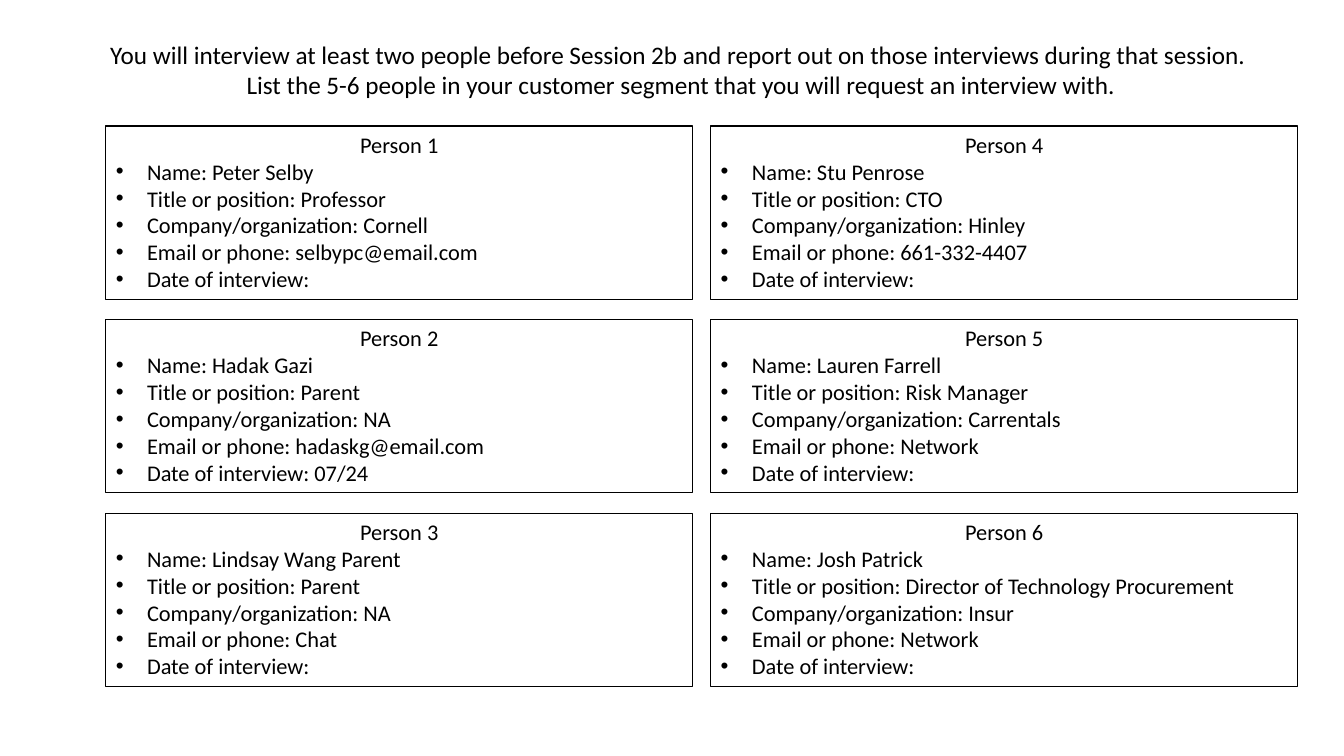
import pptx
import pptx.dml.color
import pptx.enum.shapes
import pptx.enum.text
import pptx.oxml
import pptx.oxml.ns
import pptx.util

FONT = "Calibri"
BLACK = "000000"
INDENT = pptx.util.Inches(0.31)
CARD_ROWS = 3
CARD_WIDTH, CARD_HEIGHT = 5.82, 1.72
COLUMN_STEP, ROW_STEP = 6.0, 1.92
FIELDS = ["Name", "Title or position", "Company/organization",
          "Email or phone", "Date of interview"]
INSTRUCTIONS = [
    "You will interview at least two people before Session 2b and report out "
    "on those interviews during that session. ",
    "List the 5-6 people in your customer segment that you will request an interview with.",
]
PEOPLE = [
    ["Peter Selby", "Professor", "Cornell", "selbypc@email.com", ""],
    ["Hadak Gazi", "Parent", "NA", "hadaskg@email.com", "07/24"],
    ["Lindsay Wang Parent", "Parent", "NA", "Chat", ""],
    ["Stu Penrose", "CTO", "Hinley", "661-332-4407", ""],
    ["Lauren Farrell", "Risk Manager", "Carrentals", "Network", ""],
    ["Josh Patrick", "Director of Technology Procurement", "Insur", "Network", ""],
]


def color(value):
    return pptx.dml.color.RGBColor.from_string(value)


def inches(box):
    return [pptx.util.Inches(length) for length in box]


def add_bullet(paragraph):
    properties = paragraph._p.get_or_add_pPr()
    properties.set("marL", str(INDENT))
    properties.set("indent", str(-INDENT))
    namespace = pptx.oxml.ns.nsdecls("a")
    for markup in ('buFont {} typeface="Arial"', 'buChar {} char="•"'):
        properties.append(pptx.oxml.parse_xml(f"<a:{markup.format(namespace)}/>"))


def write_lines(frame, lines, size, bulleted_from):
    frame.word_wrap = True
    frame.auto_size = pptx.enum.text.MSO_AUTO_SIZE.NONE
    frame.vertical_anchor = pptx.enum.text.MSO_ANCHOR.TOP
    for index, line in enumerate(lines):
        paragraph = frame.paragraphs[0] if index == 0 else frame.add_paragraph()
        paragraph.text = line
        if index >= bulleted_from:
            paragraph.alignment = pptx.enum.text.PP_ALIGN.LEFT
            add_bullet(paragraph)
        else:
            paragraph.alignment = pptx.enum.text.PP_ALIGN.CENTER
        paragraph.font.name = FONT
        paragraph.font.size = pptx.util.Pt(size)
        paragraph.font.color.rgb = color(BLACK)


def place_instructions(slide, box):
    title = slide.shapes.title
    title.left, title.top, title.width, title.height = inches(box)
    write_lines(title.text_frame, INSTRUCTIONS, 18, len(INSTRUCTIONS))


def add_person_card(slide, box, number, answers):
    card = slide.shapes.add_shape(
        pptx.enum.shapes.MSO_SHAPE.RECTANGLE, *inches(box))
    card.shadow.inherit = False
    card.fill.background()
    card.line.color.rgb = color(BLACK)
    card.line.width = pptx.util.Pt(0.75)
    details = [f"{field}: {answer}".rstrip() for field, answer in zip(FIELDS, answers)]
    write_lines(card.text_frame, [f"Person {number}", *details], 16, 1)


def add_people_grid(slide, left, top):
    for index, answers in enumerate(PEOPLE):
        column, row = divmod(index, CARD_ROWS)
        box = (left + column * COLUMN_STEP, top + row * ROW_STEP,
               CARD_WIDTH, CARD_HEIGHT)
        add_person_card(slide, box, index + 1, answers)


def main():
    presentation = pptx.Presentation()
    presentation.slide_width = pptx.util.Inches(13.33)
    presentation.slide_height = pptx.util.Inches(7.5)
    slide = presentation.slides.add_slide(
        presentation.slide_layouts.get_by_name("Title Only"))
    place_instructions(slide, (0.92, 0.34, 11.67, 0.71))
    add_people_grid(slide, 1.05, 1.25)
    presentation.save("out.pptx")


if __name__ == "__main__":
    main()
